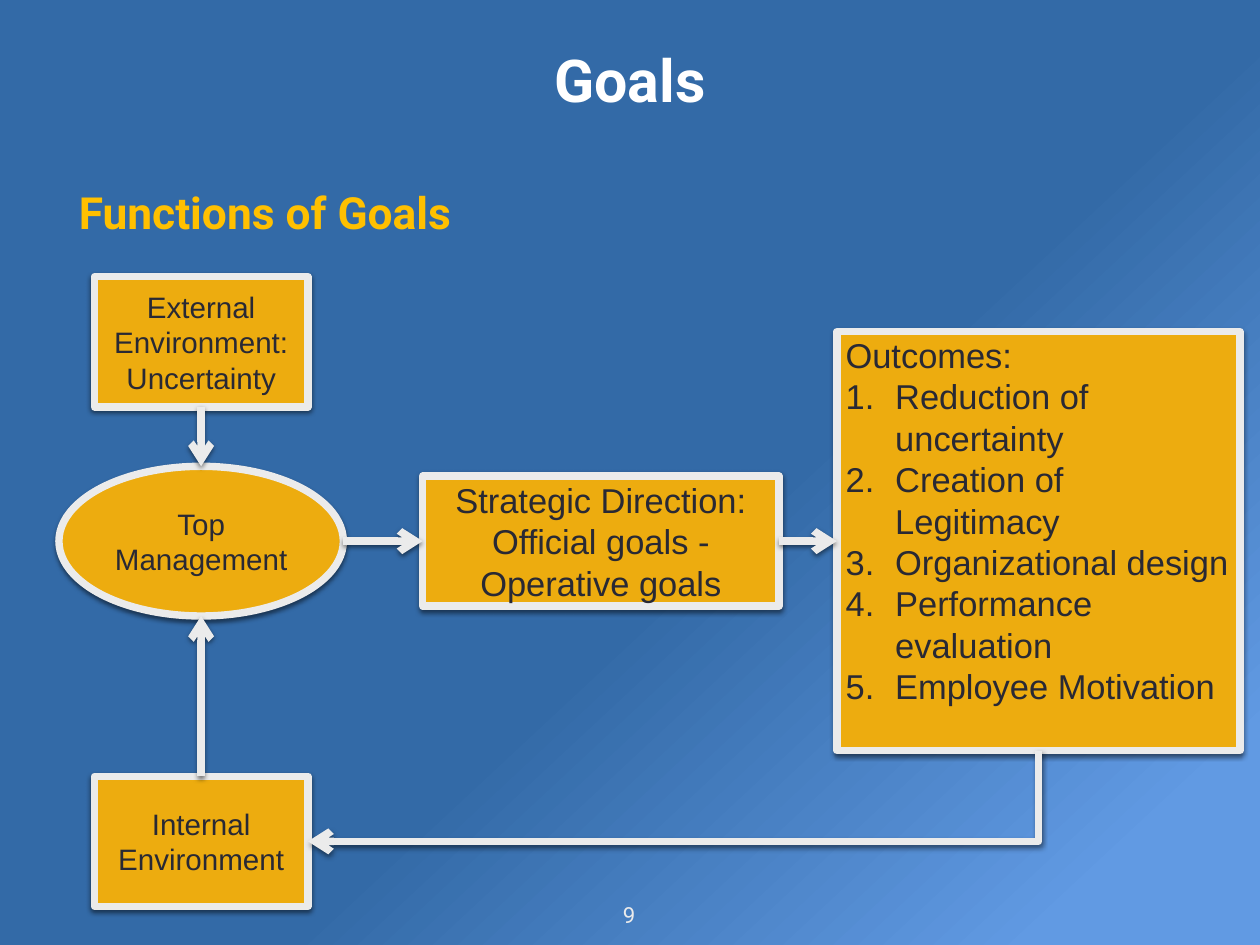
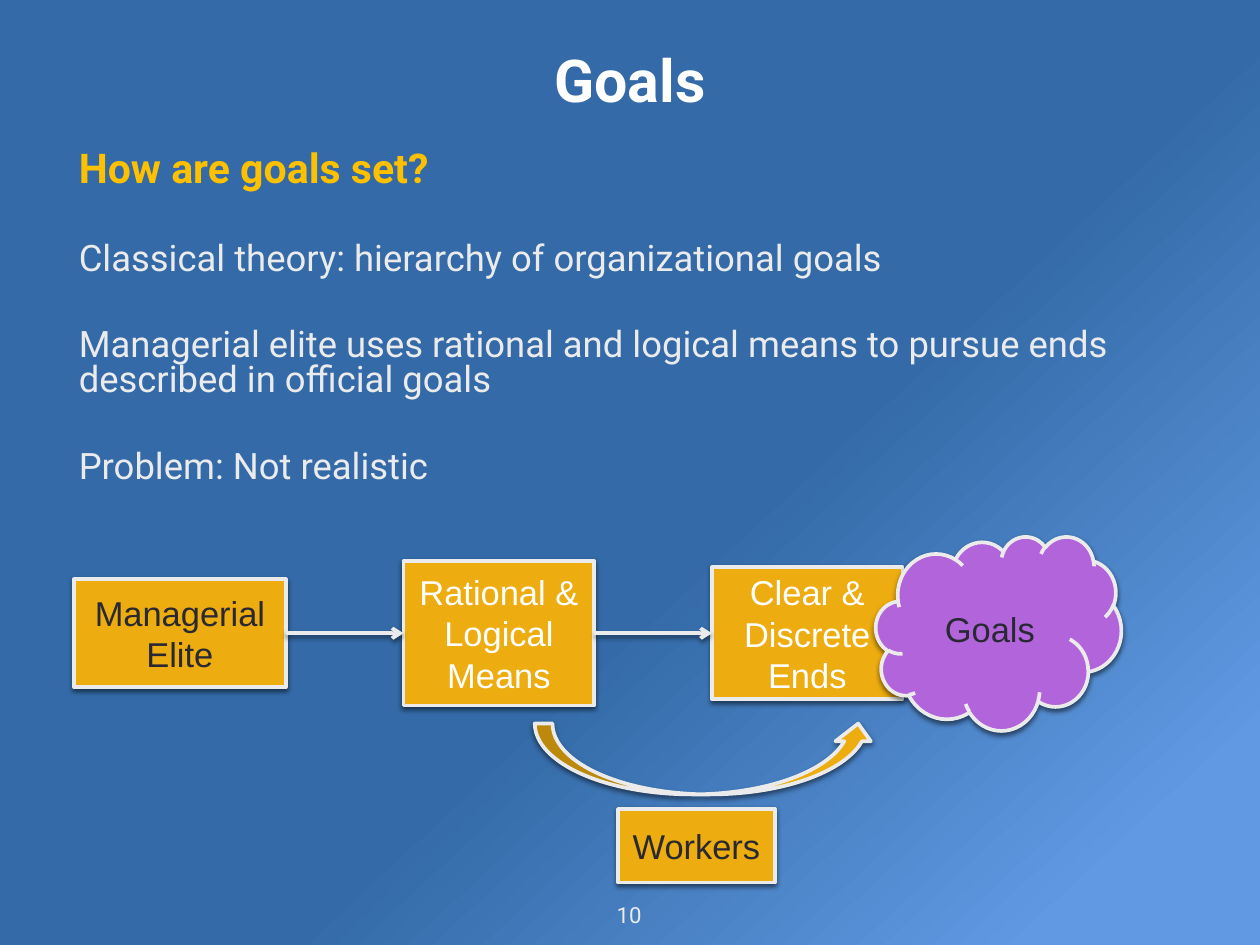
from lxml import etree
from pptx import Presentation
from pptx.dml.color import RGBColor
from pptx.enum import shapes, text
from pptx.oxml import parse_xml
from pptx.oxml.ns import nsdecls, qn
from pptx.util import Inches, Pt

COLORS = {
    "deep": "336AA7",
    "sky": "619AE3",
    "title": "FFFFFF",
    "heading": "FFC000",
    "pale": "EBEBEB",
    "node": "EDAC0F",
    "cloud": "B264DA",
    "ink": "292934",
}
HEAD_FONT, NODE_FONT = "Roboto", "Arial"
LEFT, WIDTH = 0.83, 12.56
CENTER, MIDDLE = text.PP_ALIGN.CENTER, text.MSO_ANCHOR.MIDDLE
SHAPE = shapes.MSO_SHAPE
TOP_SIDE, LEFT_SIDE, BOTTOM_SIDE, RIGHT_SIDE = range(4)


def rgb(name):
    return RGBColor.from_string(COLORS[name])


def set_background(master):
    fill = master.background.fill
    fill.gradient()
    fill.gradient_angle = 313
    for stop, position, name in zip(fill.gradient_stops, (0.57, 0.9), ("deep", "sky")):
        stop.position = position
        stop.color.rgb = rgb(name)


def add_text(tf, content, size, color, font=NODE_FONT, bold=False, align=None,
             before=None, spacing=None, numbered=False):
    """Append one paragraph, filling the empty first one if it is still unused."""
    p = tf.paragraphs[0]
    if p.runs:
        p = tf.add_paragraph()
    p.alignment = align
    p.line_spacing = spacing
    if before is not None:
        p.space_before = Pt(before)
    if numbered:
        pPr = p._p.get_or_add_pPr()
        pPr.set("marL", str(Inches(0.56)))
        pPr.set("indent", str(-Inches(0.56)))
        etree.SubElement(pPr, qn("a:buFont"), typeface="+mj-lt")
        etree.SubElement(pPr, qn("a:buAutoNum"), type="arabicPeriod")
    r = p.add_run()
    r.text = content
    r.font.name, r.font.size, r.font.bold = font, Pt(size), bold
    r.font.color.rgb = rgb(color)


def add_box(slide, left, top, width, height):
    sp = slide.shapes.add_textbox(Inches(left), Inches(top), Inches(width), Inches(height))
    tf = sp.text_frame
    tf.word_wrap, tf.vertical_anchor = True, MIDDLE
    tf.margin_left = tf.margin_right = tf.margin_top = tf.margin_bottom = Inches(0.06)
    return tf


def add_slide(prs, number, body_height):
    """Add a slide with its title and number; return it with its body frame."""
    slide = prs.slides.add_slide(prs.slide_layouts[6])
    add_text(add_box(slide, LEFT, 0.14, WIDTH, 1.5), "Goals", 48, "title",
             HEAD_FONT, bold=True, align=CENTER)
    body = add_box(slide, LEFT, 1.64, WIDTH, body_height)
    add_text(add_box(slide, 6.7, 10.12, 0.8, 0.41), str(number), 18, "pale",
             HEAD_FONT, align=CENTER)
    return slide, body


def add_shadow(sp):
    sp._element.spPr.append(parse_xml(
        f'<a:effectLst {nsdecls("a")}>'
        f'<a:outerShdw blurRad="{Pt(4)}" dist="{Pt(2)}" dir="5400000" rotWithShape="0">'
        '<a:srgbClr val="000000"><a:alpha val="50000"/></a:srgbClr>'
        '</a:outerShdw></a:effectLst>'))


def set_line(sp, weight):
    sp.line.color.rgb = rgb("pale")
    sp.line.width = Pt(weight)


def add_node(slide, cx, cy, width, height, lines=(), kind=SHAPE.RECTANGLE, fill="node",
             weight=3, size=28, color="ink"):
    """Add an outlined shape centred on (cx, cy)."""
    sp = slide.shapes.add_shape(kind, Inches(cx - width / 2), Inches(cy - height / 2),
                                Inches(width), Inches(height))
    sp.fill.solid()
    sp.fill.fore_color.rgb = rgb(fill)
    set_line(sp, weight)
    add_shadow(sp)
    sp.text_frame.vertical_anchor = MIDDLE
    for line in lines:
        add_text(sp.text_frame, line, size, color, align=CENTER)
    return sp


def style_arrow(c, weight):
    set_line(c, weight)
    etree.SubElement(c._element.spPr.find(qn("a:ln")), qn("a:tailEnd"), type="arrow")
    add_shadow(c)


def side_point(sp, side):
    cx, cy = sp.left + sp.width // 2, sp.top + sp.height // 2
    return ((cx, sp.top), (sp.left, cy), (cx, sp.top + sp.height),
            (sp.left + sp.width, cy))[side]


def add_arrow(slide, start, start_side, end, end_side, weight=3):
    c = slide.shapes.add_connector(shapes.MSO_CONNECTOR.STRAIGHT,
                                   *side_point(start, start_side), *side_point(end, end_side))
    if start.auto_shape_type == SHAPE.RECTANGLE:
        c.begin_connect(start, start_side)
    if end.auto_shape_type == SHAPE.RECTANGLE:
        c.end_connect(end, end_side)
    style_arrow(c, weight)


def add_feedback_arrow(slide, start, end, weight):
    """Add an arrow down from the start's bottom, then left to the end's right side."""
    (x1, y1), (x2, y2) = side_point(start, BOTTOM_SIDE), side_point(end, RIGHT_SIDE)
    run, drop = x1 - x2, y2 - y1
    left, top = (x1 + x2 - drop) // 2, (y1 + y2 - run) // 2
    c = slide.shapes.add_connector(shapes.MSO_CONNECTOR.ELBOW,
                                   left, top, left + drop, top + run)
    spPr = c._element.spPr
    spPr.find(qn("a:xfrm")).set("rot", "5400000")
    spPr.find(qn("a:prstGeom")).set("prst", "bentConnector2")
    style_arrow(c, weight)


def build_functions(prs):
    slide, body = add_slide(prs, 9, 1.5)
    add_text(body, "Functions of Goals", 36, "heading", HEAD_FONT, bold=True, before=42)

    column, row, weight = 2.27, 6.11, 6
    small = {"weight": weight, "size": 24}
    management = add_node(slide, column, row, 3.21, 1.69, ["Top Management"],
                          SHAPE.OVAL, **small)
    external = add_node(slide, column, 3.86, 2.41, 1.47,
                        ["External Environment:", "Uncertainty"], **small)
    internal = add_node(slide, column, 9.5, 2.41, 1.47, ["Internal Environment"], **small)
    direction = add_node(slide, 6.78, row, 4.02, 1.47,
                         ["Strategic Direction:", "Official goals - Operative goals"],
                         weight=weight)
    outcomes = add_node(slide, 11.72, row, 4.55, 4.73, weight=weight)
    tf = outcomes.text_frame
    tf.margin_bottom = Inches(0.52)
    add_text(tf, "Outcomes:", 28, "ink", align=text.PP_ALIGN.LEFT)
    for outcome in ("Reduction of uncertainty", "Creation of Legitimacy",
                    "Organizational design", "Performance evaluation",
                    "Employee Motivation"):
        add_text(tf, outcome, 28, "ink", align=text.PP_ALIGN.LEFT, numbered=True)

    add_arrow(slide, external, BOTTOM_SIDE, management, TOP_SIDE, weight)
    add_arrow(slide, internal, TOP_SIDE, management, BOTTOM_SIDE, weight)
    add_arrow(slide, management, RIGHT_SIDE, direction, LEFT_SIDE, weight)
    add_arrow(slide, direction, RIGHT_SIDE, outcomes, LEFT_SIDE, weight)
    add_feedback_arrow(slide, outcomes, internal, weight)


def build_setting(prs):
    slide, body = add_slide(prs, 10, 3.93)
    layout = {"font": HEAD_FONT, "before": 42, "spacing": 0.8}
    add_text(body, "How are goals set?", 33.3, "heading", bold=True, **layout)
    for line in ("Classical theory: hierarchy of organizational goals",
                 "Managerial elite uses rational and logical means to pursue ends "
                 "described in official goals",
                 "Problem: Not realistic"):
        add_text(body, line, 29.6, "pale", **layout)

    row = 7.15
    elite = add_node(slide, 2.03, row, 2.39, 1.22, ["Managerial Elite"])
    ends = add_node(slide, 9.11, row, 2.15, 1.49, ["Clear & Discrete Ends"], color="title")
    means = add_node(slide, 5.63, row, 2.15, 1.63, ["Rational &", "Logical Means"],
                     color="title")
    add_node(slide, 7.86, 9.55, 1.77, 0.83, ["Workers"])
    add_arrow(slide, elite, RIGHT_SIDE, means, LEFT_SIDE)
    add_arrow(slide, means, RIGHT_SIDE, ends, LEFT_SIDE)
    add_node(slide, 11.27, row, 2.77, 2.19, ["Goals"], SHAPE.CLOUD, fill="cloud")
    add_node(slide, 7.96, 8.57, 3.85, 0.8, kind=SHAPE.CURVED_UP_ARROW)


def main():
    prs = Presentation()
    prs.slide_width, prs.slide_height = Inches(14.22), Inches(10.67)
    set_background(prs.slide_master)
    build_functions(prs)
    build_setting(prs)
    prs.save("out.pptx")


if __name__ == "__main__":
    main()
